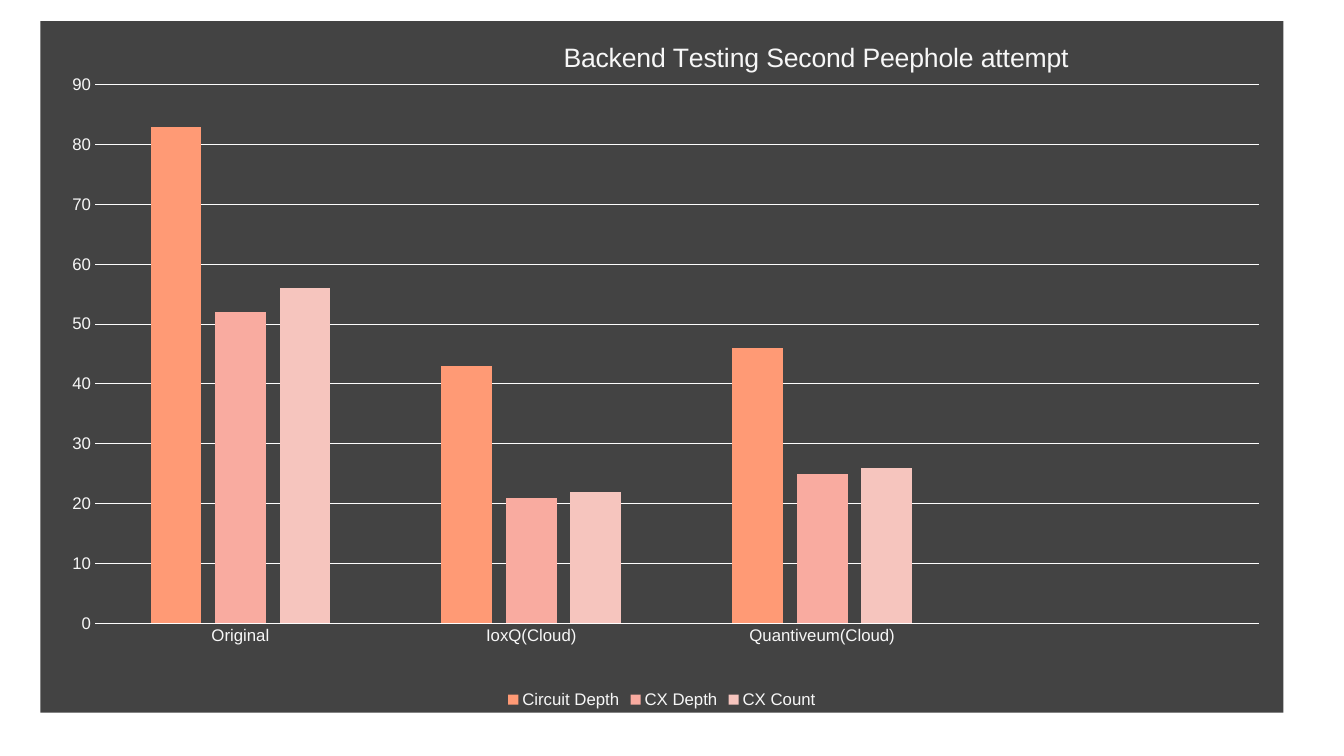
from dataclasses import dataclass

from lxml import etree
from pptx import Presentation
from pptx import util as u
from pptx.chart import data
from pptx.dml import color
from pptx.enum import chart as kinds
from pptx.oxml import parse_xml
from pptx.oxml import ns


@dataclass(frozen=True)
class Theme:
    font: str = "Arial"
    panel: str = "434343"
    label: str = "F7F7F7"
    rule: str = "FDFDFD"
    bars: tuple = ("FF9A75", "F9ABA0", "F6C5BE")
    title_size: int = 19
    label_size: int = 12
    rule_width: float = 0.75


THEME = Theme()
CATEGORIES = ("Original", "IoxQ(Cloud)", "Quantiveum(Cloud)", "")
MEASURES = {
    "Circuit Depth": (83, 43, 46, None),
    "CX Depth": (52, 21, 25, None),
    "CX Count": (56, 22, 26, None),
}


def style_font(font, size):
    font.name = THEME.font
    font.size = u.Pt(size)
    font.bold = False
    font.color.rgb = color.RGBColor.from_string(THEME.label)


def style_line(line):
    line.color.rgb = color.RGBColor.from_string(THEME.rule)
    line.width = u.Pt(THEME.rule_width)


def set_layout(parent, position, **settings):
    for stale in parent.findall(ns.qn("c:layout")):
        parent.remove(stale)
    layout = etree.Element(ns.qn("c:layout"))
    manual = etree.SubElement(layout, ns.qn("c:manualLayout"))
    for name, value in settings.items():
        etree.SubElement(manual, ns.qn(f"c:{name}")).set("val", str(value))
    parent.insert(position, layout)


def fill_panel(chart):
    panel = parse_xml(
        f'<c:spPr {ns.nsdecls("c", "a")}><a:solidFill><a:srgbClr val="{THEME.panel}"/>'
        "</a:solidFill><a:ln><a:noFill/></a:ln></c:spPr>"
    )
    chart.font._element.getparent()
    chart._chartSpace.find(ns.qn("c:txPr")).addprevious(panel)


def add_bar_chart(page, left, top, width, height):
    table = data.CategoryChartData(number_format="General")
    table.categories = CATEGORIES
    for name, values in MEASURES.items():
        table.add_series(name, values)
    frame = page.shapes.add_chart(
        kinds.XL_CHART_TYPE.COLUMN_CLUSTERED, left, top, width, height, table
    )
    chart = frame.chart
    style_font(chart.font, THEME.label_size)
    fill_panel(chart)
    return chart


def style_bars(chart):
    plot = chart.plots[0]
    plot.gap_width = 219
    plot.overlap = -27
    plot.vary_by_categories = False
    for series, shade in zip(plot.series, THEME.bars):
        series.invert_if_negative = False
        series.format.fill.solid()
        series.format.fill.fore_color.rgb = color.RGBColor.from_string(shade)
    area = chart._chartSpace.find(f".//{ns.qn('c:plotArea')}")
    set_layout(area, 0, layoutTarget="inner", xMode="edge", yMode="edge",
               x=0.044, y=0.092, w=0.936, h=0.779)


def style_axes(chart):
    for axis in (chart.category_axis, chart.value_axis):
        axis.major_tick_mark = kinds.XL_TICK_MARK.NONE
        axis.minor_tick_mark = kinds.XL_TICK_MARK.NONE
        style_font(axis.tick_labels.font, THEME.label_size)
    style_line(chart.category_axis.format.line)
    scale = chart.value_axis
    scale.minimum_scale, scale.maximum_scale, scale.major_unit = 0, 90, 10
    scale.format.line.fill.background()
    scale.has_major_gridlines = True
    style_line(scale.major_gridlines.format.line)


def add_title(chart, words):
    chart.has_title = True
    title = chart.chart_title
    span = title.text_frame.paragraphs[0].add_run()
    span.text = words
    style_font(span.font, THEME.title_size)
    title.include_in_layout = False
    set_layout(title._element, 1, xMode="edge", yMode="edge", x=0.417, y=0.02)


def add_legend(chart):
    chart.has_legend = True
    chart.legend.position = kinds.XL_LEGEND_POSITION.BOTTOM
    chart.legend.include_in_layout = False
    style_font(chart.legend.font, THEME.label_size)


def main():
    deck = Presentation()
    deck.slide_width, deck.slide_height = u.Inches(13.33), u.Inches(7.5)
    page = deck.slides.add_slide(deck.slide_layouts[6])
    chart = add_bar_chart(
        page, u.Inches(0.4), u.Inches(0.21), u.Inches(12.33), u.Inches(6.86)
    )
    style_bars(chart)
    style_axes(chart)
    add_title(chart, "Backend Testing Second Peephole attempt")
    add_legend(chart)
    deck.save("out.pptx")


main()
